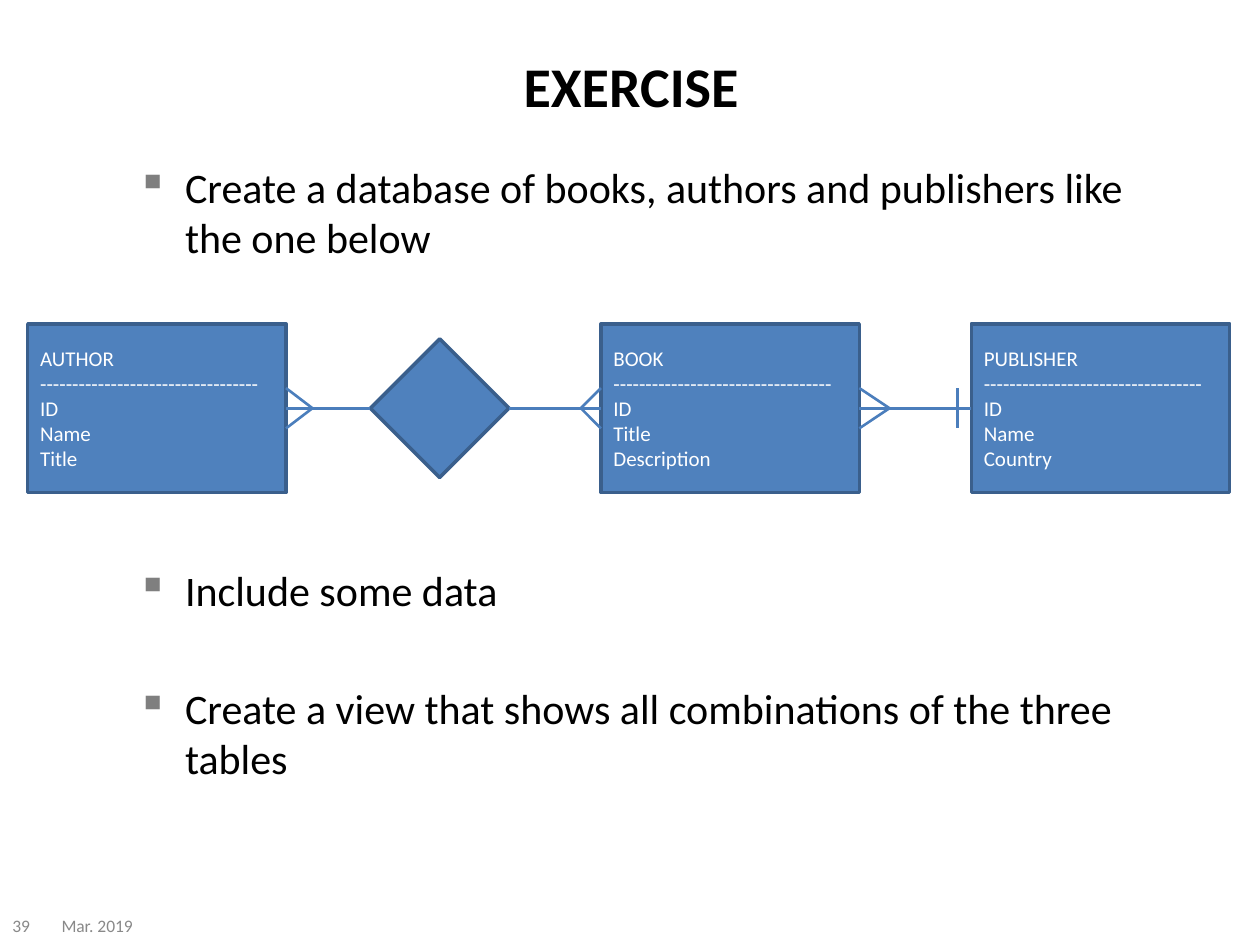
from lxml import etree
from pptx import Presentation
from pptx.dml.color import RGBColor
from pptx.enum.shapes import MSO_CONNECTOR, MSO_SHAPE as SHAPE
from pptx.enum.text import MSO_ANCHOR as ANCHOR, PP_ALIGN as ALIGN
from pptx.oxml.ns import qn
from pptx.util import Inches, Pt

COLORS = {"text": "000000", "bullet": "7F7F7F", "footer": "898989",
          "fill": "4F81BD", "border": "3A5F8C", "line": "4B7EBC",
          "entity_text": "FFFFFF"}
FONT = "Calibri"

# Diagram geometry, in inches
AXIS_Y = 3.24
FOOT = 0.16
ENTITY_W, ENTITY_H = 2.05, 1.34
DIAMOND_X, DIAMOND_SIZE = 2.94, 1.1
ENTITIES = [
    (0.22, "AUTHOR", ["ID", "Name", "Title"]),
    (4.77, "BOOK", ["ID", "Title", "Description"]),
    (7.71, "PUBLISHER", ["ID", "Name", "Country"]),
]
# Bullet text and space before it in points
BULLETS = [
    ("Create a database of books, authors and publishers like the one below", 0),
    ("Include some data", 173),
    ("Create a view that shows all combinations of the three tables", 38.5),
]


def rgb(name):
    return RGBColor.from_string(COLORS[name])


def add_text(p, text, size, color="text", bold=False, align=ALIGN.LEFT):
    p.alignment = align
    r = p.add_run()
    r.text = text
    r.font.name, r.font.size, r.font.bold = FONT, Pt(size), bold
    r.font.color.rgb = rgb(color)


def add_box(slide, x, y, w, h, anchor=ANCHOR.TOP):
    tf = slide.shapes.add_textbox(*map(Inches, (x, y, w, h))).text_frame
    tf.word_wrap = True
    tf.vertical_anchor = anchor
    return tf


def add_bullet(p, text, space):
    pPr = p._p.get_or_add_pPr()
    pPr.set("marL", str(Inches(0.38)))
    pPr.set("indent", str(-Inches(0.38)))
    p.space_before = Pt(space)
    color = etree.SubElement(pPr, qn("a:buClr"))
    etree.SubElement(color, qn("a:srgbClr"), val=COLORS["bullet"])
    etree.SubElement(pPr, qn("a:buChar"), char="▪")
    add_text(p, text, 24)


def add_block(slide, kind, x, w, h):
    """Filled shape centred vertically on the diagram axis."""
    sp = slide.shapes.add_shape(kind, *map(Inches, (x, AXIS_Y - h / 2, w, h)))
    sp.shadow.inherit = False
    sp.fill.solid()
    sp.fill.fore_color.rgb = rgb("fill")
    sp.line.color.rgb = rgb("border")
    sp.line.width = Pt(2)
    return sp


def add_entity(slide, x, name, fields):
    tf = add_block(slide, SHAPE.RECTANGLE, x, ENTITY_W, ENTITY_H).text_frame
    tf.word_wrap = True
    tf.vertical_anchor = ANCHOR.MIDDLE
    for i, text in enumerate([name, "-" * 34, *fields]):
        p = tf.add_paragraph() if i else tf.paragraphs[0]
        add_text(p, text, 12, "entity_text")


def add_line(slide, x1, y1, x2, y2):
    line = slide.shapes.add_connector(
        MSO_CONNECTOR.STRAIGHT, *map(Inches, (x1, y1, x2, y2)))
    line.line.color.rgb = rgb("line")
    line.line.width = Pt(1.5)
    etree.SubElement(line._element.spPr, qn("a:effectLst"))


def add_crow_foot(slide, edge_x, tip_x):
    for dy in (-FOOT, FOOT):
        add_line(slide, tip_x, AXIS_Y, edge_x, AXIS_Y + dy)


def add_diagram(slide):
    add_block(slide, SHAPE.DIAMOND, DIAMOND_X, DIAMOND_SIZE, DIAMOND_SIZE)
    for entity in ENTITIES:
        add_entity(slide, *entity)
    author_x, book_x, publisher_x = (x for x, _, _ in ENTITIES)
    author_end, book_end = author_x + ENTITY_W, book_x + ENTITY_W

    # Relationships
    for start, end in [(author_end, DIAMOND_X),
                       (DIAMOND_X + DIAMOND_SIZE, book_x),
                       (book_end, publisher_x)]:
        add_line(slide, start, AXIS_Y, end, AXIS_Y)

    # "Many" ends, then the "one" end
    for edge, tip in [(author_end, 2.48), (book_x, 4.61), (book_end, 7.06)]:
        add_crow_foot(slide, edge, tip)
    one_x = publisher_x - 0.11
    add_line(slide, one_x, AXIS_Y - FOOT, one_x, AXIS_Y + FOOT)


def main():
    prs = Presentation()
    prs.slide_width, prs.slide_height = Inches(10), Inches(7.5)
    slide = prs.slides.add_slide(prs.slide_layouts[5])

    # Title
    title = slide.shapes.title
    title.left, title.top = Inches(0.51), Inches(0.05)
    title.width, title.height = Inches(9), Inches(1.25)
    title.text_frame.vertical_anchor = ANCHOR.MIDDLE
    add_text(title.text_frame.paragraphs[0], "EXERCISE", 32, bold=True,
             align=ALIGN.CENTER)

    # Tasks
    tf = add_box(slide, 0.99, 1.23, 8.11, 5.43)
    for i, (text, space) in enumerate(BULLETS):
        add_bullet(tf.add_paragraph() if i else tf.paragraphs[0], text, space)

    # Footer
    for x, w, text in [(0.39, 0.94, "Mar. 2019"), (0, 0.47, "39")]:
        tf = add_box(slide, x, 7.19, w, 0.31, ANCHOR.MIDDLE)
        add_text(tf.paragraphs[0], text, 10, "footer")

    add_diagram(slide)
    prs.save("out.pptx")


if __name__ == "__main__":
    main()
